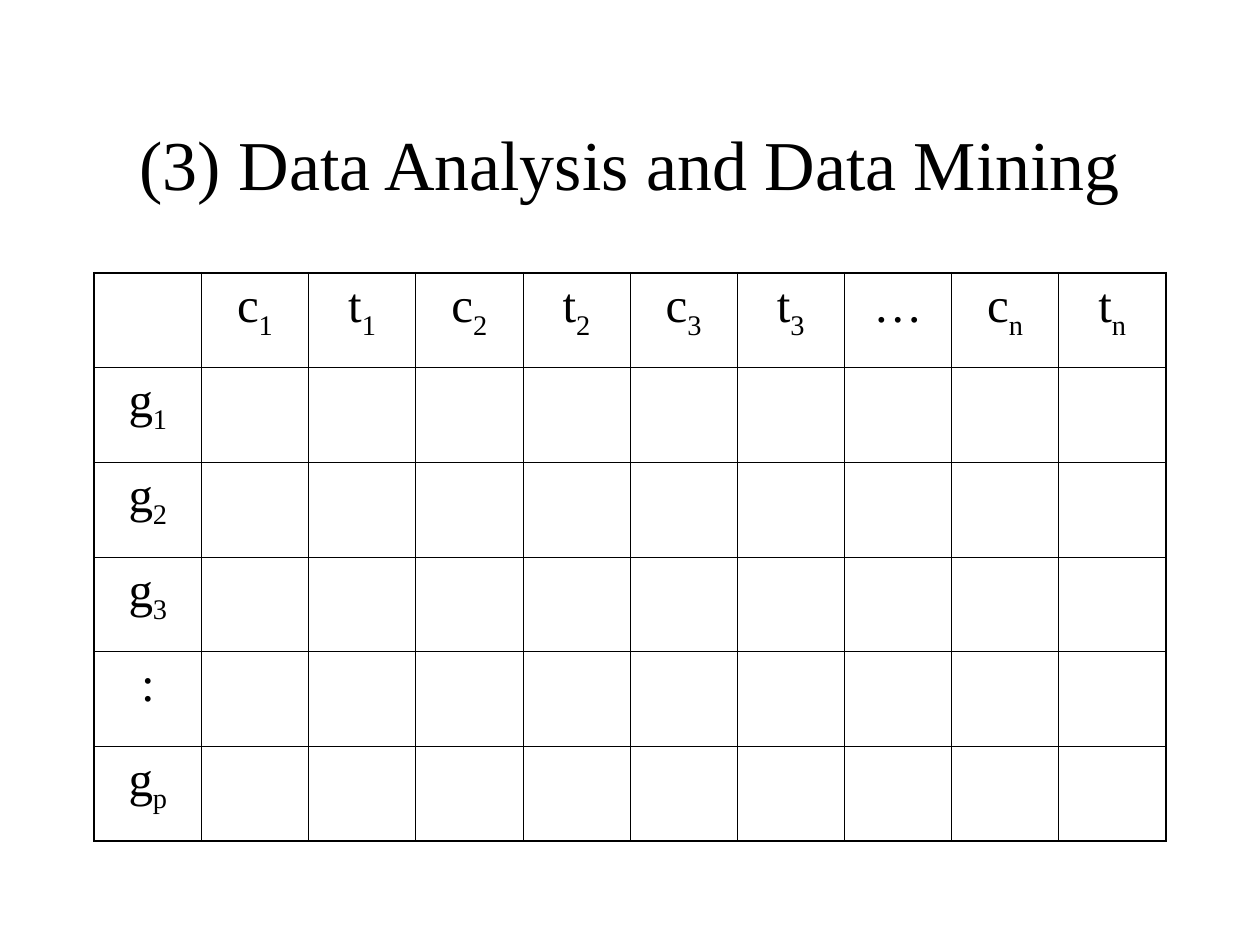
from dataclasses import dataclass

from lxml.etree import SubElement
from pptx import Presentation
from pptx.dml.color import RGBColor
from pptx.enum.text import MSO_ANCHOR, PP_ALIGN
from pptx.oxml.ns import qn
from pptx.util import Cm, Pt

TITLE = "(3) Data Analysis and Data Mining"
# Each label is a symbol and its subscript.
COLUMNS = [("c", "1"), ("t", "1"), ("c", "2"), ("t", "2"), ("c", "3"),
           ("t", "3"), ("…", ""), ("c", "n"), ("t", "n")]
ROWS = [("g", "1"), ("g", "2"), ("g", "3"), (":", ""), ("g", "p")]


@dataclass(frozen=True)
class Theme:
    font: str = "Times New Roman"
    ink: str = "000000"
    title_size: int = 40
    label_size: int = 28
    inner_line: float = 0.45
    outer_line: float = 1.08


THEME = Theme()
LEFT, WIDTH = Cm(1.9), Cm(21.6)
TITLE_TOP, TITLE_HEIGHT = Cm(1.69), Cm(3.18)
TABLE_TOP, ROW_HEIGHT = Cm(5.5), Cm(1.91)


def add_text(tf, text, sub="", size=THEME.label_size, align=PP_ALIGN.CENTER):
    """Write text, with an optional subscript, in the first paragraph."""
    p = tf.paragraphs[0]
    p.alignment = align
    for part, baseline in ((text, None), (sub, "-25000")):
        if not part:
            continue
        r = p.add_run()
        r.text = part
        r.font.name = THEME.font
        r.font.size = Pt(size)
        r.font.color.rgb = RGBColor.from_string(THEME.ink)
        if baseline:
            r.font._element.set("baseline", baseline)


def set_borders(cell, outer):
    """Draw all four borders, heavier on the sides where outer is true."""
    tc_pr = cell._tc.get_or_add_tcPr()
    for i, (side, heavy) in enumerate(zip("LRTB", outer)):
        width = Pt(THEME.outer_line if heavy else THEME.inner_line)
        ln = SubElement(tc_pr, qn(f"a:ln{side}"), w=str(width))
        fill = SubElement(ln, qn("a:solidFill"))
        SubElement(fill, qn("a:srgbClr"), val=THEME.ink)
        tc_pr.insert(i, ln)


def add_title(s):
    tf = s.shapes.add_textbox(LEFT, TITLE_TOP, WIDTH, TITLE_HEIGHT).text_frame
    tf.word_wrap = True
    tf.vertical_anchor = MSO_ANCHOR.MIDDLE
    add_text(tf, TITLE, size=THEME.title_size)


def add_data_matrix(s):
    n_rows, n_cols = len(ROWS) + 1, len(COLUMNS) + 1
    table = s.shapes.add_table(n_rows, n_cols, LEFT, TABLE_TOP,
                               WIDTH, ROW_HEIGHT * n_rows).table
    table.first_row = table.horz_banding = False
    for i in range(n_rows):
        for j in range(n_cols):
            cell = table.cell(i, j)
            cell.fill.background()
            set_borders(cell, (j == 0, j == n_cols - 1,
                               i == 0, i == n_rows - 1))
    for j, (symbol, sub) in enumerate(COLUMNS, 1):
        add_text(table.cell(0, j).text_frame, symbol, sub)
    for i, (symbol, sub) in enumerate(ROWS, 1):
        add_text(table.cell(i, 0).text_frame, symbol, sub)


def main():
    prs = Presentation()
    prs.slide_width, prs.slide_height = Cm(25.4), Cm(19.05)
    s = prs.slides.add_slide(prs.slide_layouts[6])
    add_title(s)
    add_data_matrix(s)
    prs.save("out.pptx")


if __name__ == "__main__":
    main()
